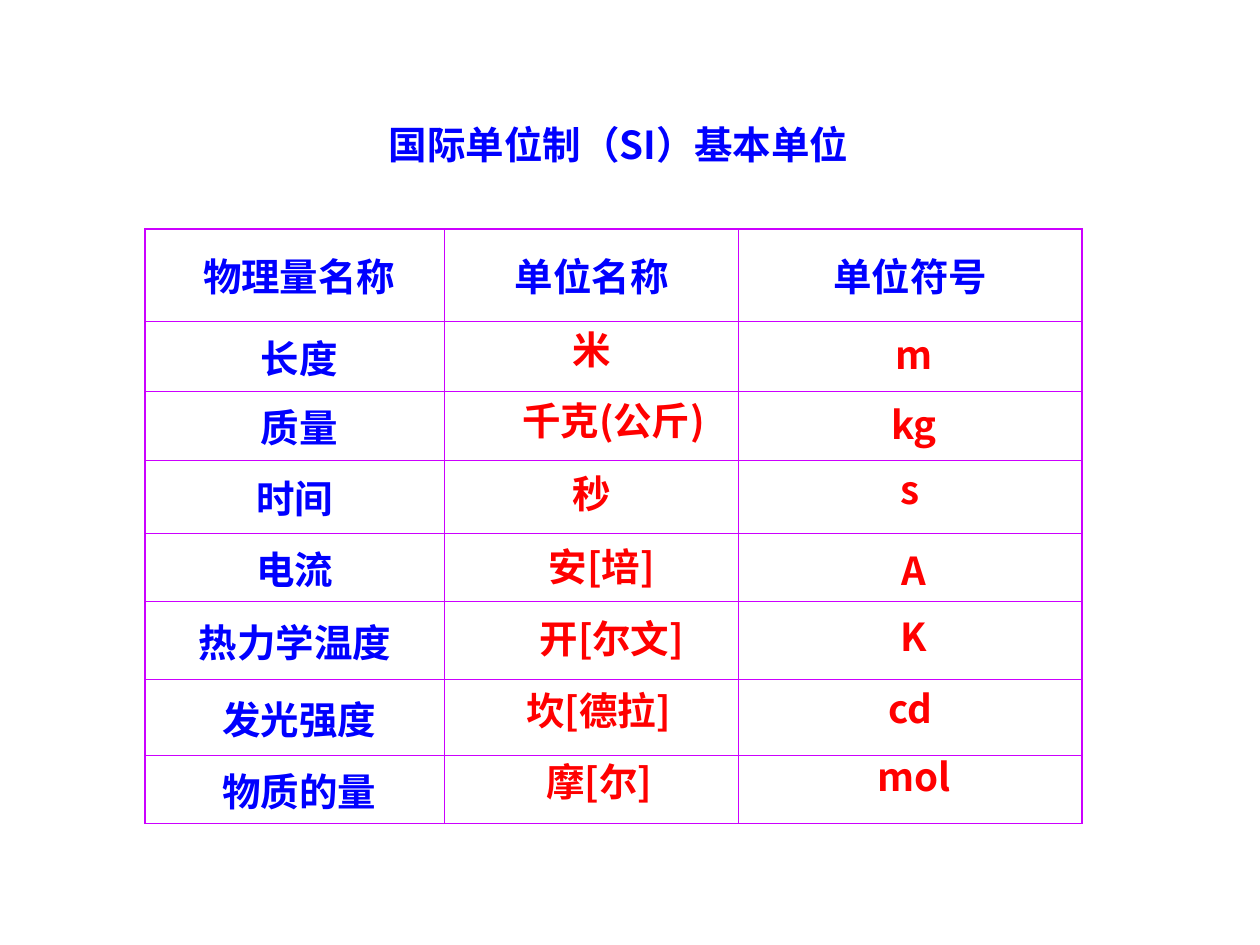
from dataclasses import dataclass

from lxml.etree import SubElement
from pptx import Presentation
from pptx.dml.color import RGBColor as Rgb
from pptx.enum.text import MSO_ANCHOR as Anchor, MSO_AUTO_SIZE as AutoSize, PP_ALIGN as Align
from pptx.oxml.ns import qn
from pptx.util import Inches, Pt


@dataclass(frozen=True)
class Theme:
    label: str = "0000FF"
    answer: str = "FF0000"
    border: str = "CC00FF"
    font: str = "Noto Sans CJK SC"
    plain_font: str = "Arial"
    size: float = 22
    outer_line: float = 1.08
    inner_line: float = 0.45


TITLE = "国际单位制（SI）基本单位"
HEADERS = [" 物理量名称", "单位名称", "单位符号"]
QUANTITIES = [" 长度", " 质量", "时间", "电流", "热力学温度", " 发光强度", " 物质的量"]
COLUMN_WIDTHS = [2.38, 2.33, 2.73]
ROW_HEIGHTS = [0.73, 0.56, 0.53, 0.58, 0.53, 0.62, 0.6, 0.47]
BOX_HEIGHT = 0.47
SYMBOL_WIDTH = 1.37

# text, left, top, width
UNIT_NAMES = [
    ("米", 4.01, 2.54, 1.37),
    ("千克(公斤)", 3.7, 3.1, 2.34),
    ("秒", 4.01, 3.68, 1.37),
    ("安[培]", 3.85, 4.26, 1.85),
    ("开[尔文]", 3.8, 4.83, 2.11),
    ("坎[德拉]", 3.86, 5.4, 1.78),
    ("摩[尔]", 3.85, 5.97, 1.81),
]
# text, left, top
UNIT_SYMBOLS = [
    ("m", 6.57, 2.58),
    ("kg", 6.57, 3.13),
    ("s", 6.54, 3.65),
    ("A", 6.57, 4.29),
    ("K", 6.57, 4.82),
    ("cd", 6.54, 5.39),
    ("mol", 6.57, 5.93),
]


class SlideBuilder:
    def __init__(self, slide, theme):
        self.slide = slide
        self.theme = theme

    def add_span(self, frame, text, color, font=None):
        para = frame.paragraphs[0]
        para.alignment = Align.CENTER
        span = para.add_run()
        span.text = text
        span.font.name = font or self.theme.font
        span.font.size = Pt(self.theme.size)
        span.font.bold = True
        span.font.color.rgb = Rgb.from_string(color)
        east_asian = SubElement(span.font._element, qn("a:ea"))
        east_asian.set("typeface", self.theme.font)

    def title(self, text, left, top, width):
        box = self.slide.shapes.title
        box.left, box.top = Inches(left), Inches(top)
        box.width, box.height = Inches(width), Inches(BOX_HEIGHT)
        frame = box.text_frame
        frame.vertical_anchor = Anchor.TOP
        frame.auto_size = AutoSize.NONE
        self.add_span(frame, text, self.theme.label)

    def answer(self, text, left, top, width, font=None):
        box = self.slide.shapes.add_textbox(
            Inches(left), Inches(top), Inches(width), Inches(BOX_HEIGHT))
        frame = box.text_frame
        frame.word_wrap = True
        frame.auto_size = AutoSize.SHAPE_TO_FIT_TEXT
        self.add_span(frame, text, self.theme.answer, font)

    def border(self, cell, side, width):
        line = SubElement(cell._tc.get_or_add_tcPr(), qn(f"a:ln{side}"), w=str(Pt(width)))
        fill = SubElement(line, qn("a:solidFill"))
        SubElement(fill, qn("a:srgbClr"), val=self.theme.border)

    def table(self, rows, left, top):
        """Draw a grid with a heavier outer frame; empty strings stay blank."""
        last_row, last_column = len(rows) - 1, len(COLUMN_WIDTHS) - 1
        table = self.slide.shapes.add_table(
            len(rows), len(COLUMN_WIDTHS), Inches(left), Inches(top),
            Inches(sum(COLUMN_WIDTHS)), Inches(sum(ROW_HEIGHTS))).table
        table.first_row = table.horz_banding = False
        for column, width in zip(table.columns, COLUMN_WIDTHS):
            column.width = Inches(width)
        for row, height in zip(table.rows, ROW_HEIGHTS):
            row.height = Inches(height)
        for r, texts in enumerate(rows):
            for c, text in enumerate(texts):
                cell = table.cell(r, c)
                cell.vertical_anchor = Anchor.MIDDLE
                outer_sides = {"L": c == 0, "R": c == last_column,
                               "T": r == 0, "B": r == last_row}
                for side, outer in outer_sides.items():
                    self.border(cell, side,
                                self.theme.outer_line if outer else self.theme.inner_line)
                cell.fill.background()
                if text:
                    self.add_span(cell.text_frame, text, self.theme.label)


def main():
    deck = Presentation()
    deck.slide_width, deck.slide_height = Inches(10), Inches(7.5)
    theme = Theme()
    page = SlideBuilder(deck.slides.add_slide(deck.slide_layouts[5]), theme)
    page.title(TITLE, 1.91, 0.91, 6)
    page.table([HEADERS] + [[quantity, "", ""] for quantity in QUANTITIES], 1.15, 1.82)
    for name, symbol in zip(UNIT_NAMES, UNIT_SYMBOLS):
        page.answer(*name, font=theme.plain_font if len(name[0]) == 1 else None)
        page.answer(*symbol, SYMBOL_WIDTH)
    deck.save("out.pptx")


if __name__ == "__main__":
    main()
